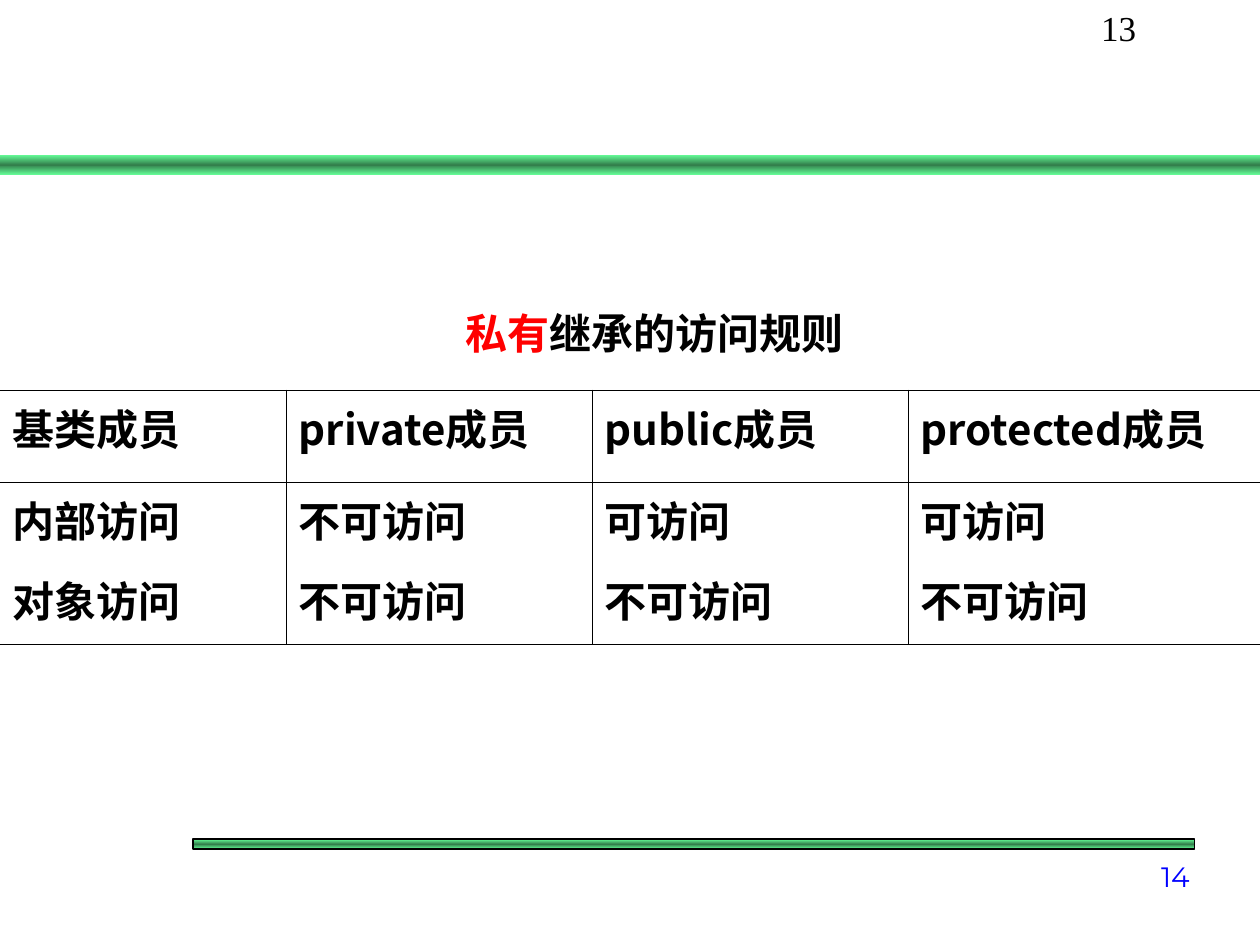
from copy import deepcopy

from pptx import Presentation
from pptx.dml.color import RGBColor
from pptx.enum.shapes import MSO_SHAPE as Shape
from pptx.enum.text import MSO_ANCHOR as Anchor, PP_ALIGN as Align
from pptx.oxml.ns import qn
from pptx.util import Cm, Pt
from lxml.etree import SubElement

COLORS = {"black": "000000", "red": "FF0000", "blue": "0000FF",
          "light": "66FF99", "dark": "337F4C"}
CJK = "Noto Sans CJK SC"
HEADING = {"name": CJK, "size": Pt(24), "bold": True}


def color(name):
    return RGBColor.from_string(COLORS[name])


class SlideBuilder:
    def __init__(self, deck):
        self.slide = deck.slides.add_slide(deck.slide_layouts[5])

    def add_span(self, para, text, style, tint="black"):
        span = para.add_run()
        span.text = text
        for key, value in style.items():
            setattr(span.font, key, value)
        span.font.color.rgb = color(tint)
        if style["name"] == CJK:
            SubElement(span.font._element, qn("a:ea"), typeface=CJK)

    def title(self, spans, left, top, width, height):
        box = self.slide.shapes.title
        place = {"left": left, "top": top, "width": width, "height": height}
        for key, value in place.items():
            setattr(box, key, Cm(value))
        box.text_frame.vertical_anchor = Anchor.MIDDLE
        para = box.text_frame.paragraphs[0]
        para.alignment = Align.CENTER
        for text, tint in spans:
            self.add_span(para, text, HEADING, tint)

    def bar(self, left, top, width, height, outlined=False):
        bar = self.slide.shapes.add_shape(
            Shape.RECTANGLE, Cm(left), Cm(top), Cm(width), Cm(height))
        bar.shadow.inherit = False
        bar.fill.gradient()
        bar.fill.gradient_angle = 90
        stops = bar._element.spPr.find(".//" + qn("a:gsLst"))
        stops.append(deepcopy(stops[0]))
        for index, (stop, tint) in enumerate(
                zip(bar.fill.gradient_stops, ("light", "dark", "light"))):
            stop.position = index / 2
            stop.color.rgb = color(tint)
        if outlined:
            bar.line.color.rgb = color("black")
            bar.line.width = Pt(1)
        else:
            bar.line.fill.background()

    def number(self, text, left, top, width, height, style, tint, align, anchor):
        box = self.slide.shapes.add_textbox(Cm(left), Cm(top), Cm(width), Cm(height))
        box.text_frame.word_wrap = True
        box.text_frame.vertical_anchor = anchor
        para = box.text_frame.paragraphs[0]
        para.alignment = align
        self.add_span(para, text, style, tint)

    def border(self, cell, side, points):
        line = SubElement(cell._tc.get_or_add_tcPr(), qn("a:" + side),
                          w=str(Pt(points)))
        if points:
            fill = SubElement(line, qn("a:solidFill"))
            SubElement(fill, qn("a:srgbClr"), val=COLORS["black"])
        else:
            SubElement(line, qn("a:noFill"))

    def table(self, rows, left, top, widths, heights):
        frame = self.slide.shapes.add_table(
            len(rows), len(widths), Cm(left), Cm(top),
            Cm(sum(widths)), Cm(sum(heights)))
        table = frame.table
        table.first_row = table.horz_banding = False
        for column, width in zip(table.columns, widths):
            column.width = Cm(width)
        for row, height in zip(table.rows, heights):
            row.height = Cm(height)
        thin, last_column = 0.45, len(widths) - 1
        tops = [1.08, thin, 0]
        bottoms = [thin, 0, thin]
        for r, texts in enumerate(rows):
            for c, text in enumerate(texts):
                cell = table.cell(r, c)
                self.add_span(cell.text_frame.paragraphs[0], text, HEADING)
                self.border(cell, "lnL", thin if c > 0 else 0)
                self.border(cell, "lnR", thin if c < last_column else 0)
                self.border(cell, "lnT", tops[r])
                self.border(cell, "lnB", bottoms[r])
                cell.fill.background()


def main():
    deck = Presentation()
    deck.slide_width, deck.slide_height = Cm(25.4), Cm(19.05)
    page = SlideBuilder(deck)
    page.bar(0, 3.12, 25.4, 0.41)
    page.bar(3.89, 16.92, 20.19, 0.2, outlined=True)
    page.number("14", 22.23, 17.12, 2, 1, {"name": "Montserrat", "size": Pt(16)},
                "blue", Align.RIGHT, Anchor.BOTTOM)
    page.number("13", 21.95, 0, 1.57, 1.12,
                {"name": "Times New Roman", "size": Pt(20)},
                "black", Align.LEFT, Anchor.TOP)
    page.title([("私有", "red"), ("继承的访问规则", "black")], 1.2, 5.9, 24, 1.6)
    page.table([
        ["基类成员", "private成员", "public成员", "protected成员"],
        ["内部访问", "不可访问", "可访问", "可访问"],
        ["对象访问", "不可访问", "不可访问", "不可访问"],
    ], 0, 7.87, [5.77, 6.17, 6.37, 7.09], [1.85, 1.62, 1.65])
    deck.save("out.pptx")


if __name__ == "__main__":
    main()
